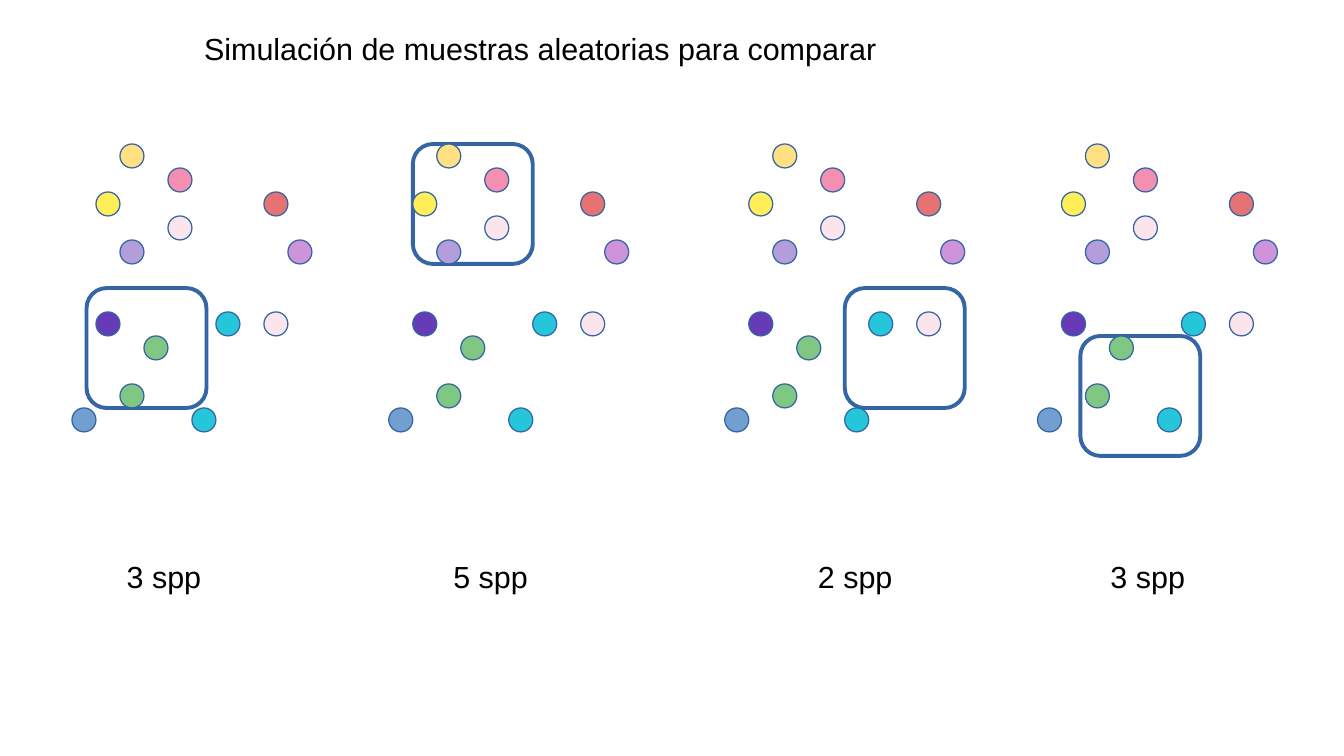
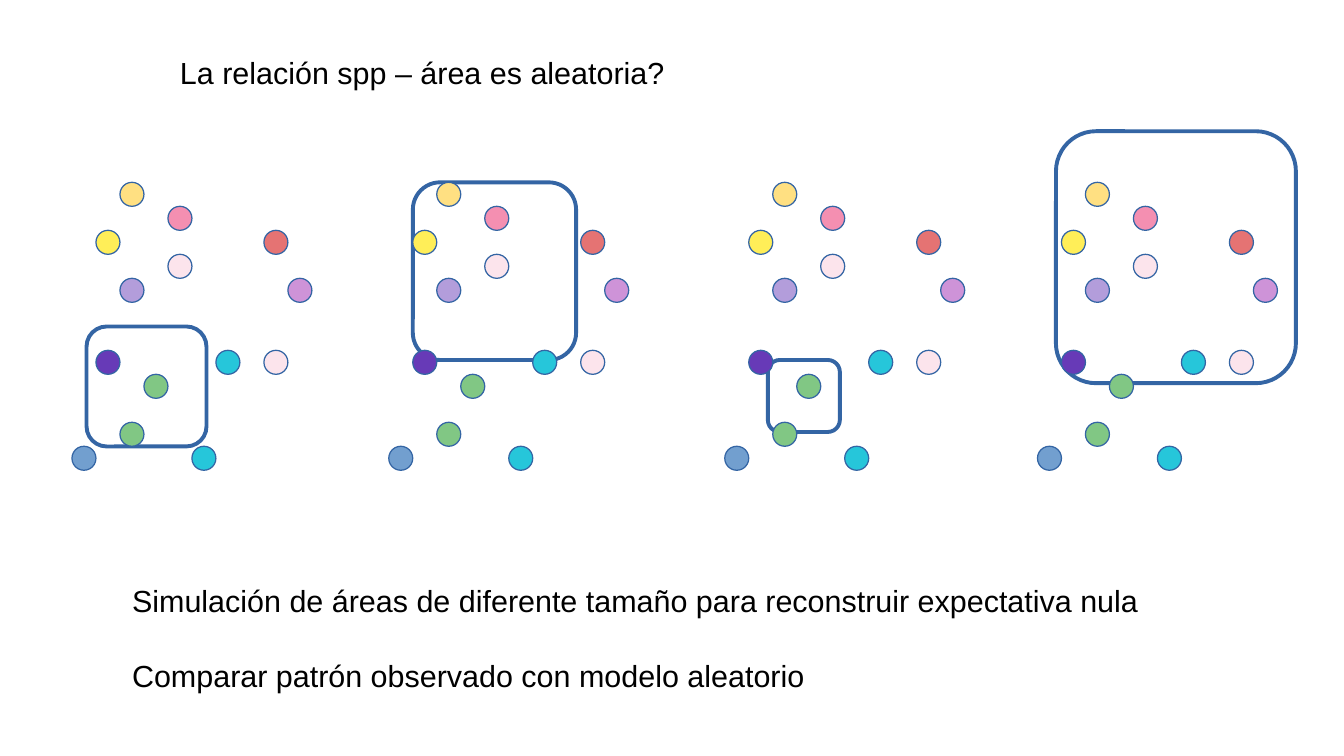
from dataclasses import dataclass

import pptx
import pptx.dml.color
import pptx.enum.shapes
import pptx.enum.text
import pptx.util

Pt = pptx.util.Pt
MSO_SHAPE = pptx.enum.shapes.MSO_SHAPE

FONT = "Arial"
TEXT_SIZE = 18
BLACK = "000000"
OUTLINE = "3465A4"
FRAME_WIDTH = 2.3
FRAME_ROUNDING = 0.167
CELL = 14.17
SAMPLE = 5 * CELL
PANEL_LEFTS = [42.52, 229.61, 428.03, 612.7]
LINE_HEIGHT = 27.4
PARAGRAPH_GAP = 22.4


@dataclass(frozen=True)
class Dot:
    col: int
    row: int
    color: str


@dataclass(frozen=True)
class Frame:
    left: float
    top: float
    width: float = SAMPLE
    height: float = SAMPLE


@dataclass(frozen=True)
class Label:
    left: float
    top: float
    width: float
    lines: tuple[str, ...]
    height: float = LINE_HEIGHT
    wrap: bool = True


@dataclass(frozen=True)
class Page:
    community_top: float
    frames: list[Frame]
    labels: list[Label]


COMMUNITY = [
    Dot(4, 3, "FCE4EC"),
    Dot(2, 0, "FFE082"),
    Dot(9, 4, "CE93D8"),
    Dot(8, 2, "E57373"),
    Dot(2, 10, "81C784"),
    Dot(2, 4, "B39DDB"),
    Dot(1, 2, "FFEE58"),
    Dot(4, 1, "F48FB1"),
    Dot(1, 7, "673AB7"),
    Dot(5, 11, "26C6DA"),
    Dot(0, 11, "729FCF"),
    Dot(6, 7, "26C6DA"),
    Dot(3, 8, "81C784"),
    Dot(8, 7, "FCE4EC"),
]

SPECIES_COUNTS = [(67.7, 3), (260.6, 5), (475.9, 2), (648.7, 3)]

PAGES = [
    Page(
        85.04,
        [
            Frame(51.1, 170.1),
            Frame(243.8, 85.04),
            Frame(498.9, 170.1),
            Frame(638, 198.4),
        ],
        [
            Label(left, 326.2, 58.3, (f"{count} spp",), wrap=False)
            for left, count in SPECIES_COUNTS
        ]
        + [Label(113.4, 14.2, 623.6, ("Simulación de muestras aleatorias para comparar",))],
    ),
    Page(
        107.7,
        [
            Frame(51.1, 192.8),
            Frame(243.8, 107.7, 96.4, 104.9),
            Frame(453.5, 212.6, 3 * CELL, 3 * CELL),
            Frame(623.6, 77.5, 10 * CELL, 148.8),
        ],
        [
            Label(99.2, 28.3, 581, ("La relación spp – área es aleatoria?",)),
            Label(
                70.9,
                340.2,
                623.6,
                (
                    "Simulación de áreas de diferente tamaño para reconstruir expectativa nula",
                    "Comparar patrón observado con modelo aleatorio",
                ),
                height=67.7,
            ),
        ],
    ),
]


def rgb(color: str) -> pptx.dml.color.RGBColor:
    return pptx.dml.color.RGBColor.from_string(color)


def add_outlined(slide, kind, box: Frame, line_width: float):
    sp = slide.shapes.add_shape(
        kind, Pt(box.left), Pt(box.top), Pt(box.width), Pt(box.height)
    )
    sp.shadow.inherit = False
    sp.line.color.rgb = rgb(OUTLINE)
    sp.line.width = Pt(line_width)
    return sp


def add_frame(slide, frame: Frame) -> None:
    sp = add_outlined(slide, MSO_SHAPE.ROUNDED_RECTANGLE, frame, FRAME_WIDTH)
    sp.adjustments[0] = FRAME_ROUNDING
    sp.fill.background()


def add_community(slide, left: float, top: float) -> None:
    for dot in COMMUNITY:
        box = Frame(left + dot.col * CELL, top + dot.row * CELL, CELL, CELL)
        sp = add_outlined(slide, MSO_SHAPE.OVAL, box, 0)
        sp.fill.solid()
        sp.fill.fore_color.rgb = rgb(dot.color)


def add_label(slide, label: Label) -> None:
    sp = slide.shapes.add_textbox(
        Pt(label.left), Pt(label.top), Pt(label.width), Pt(label.height)
    )
    tf = sp.text_frame
    tf.word_wrap = label.wrap
    tf.auto_size = pptx.enum.text.MSO_AUTO_SIZE.SHAPE_TO_FIT_TEXT
    tf.text = "\n".join(label.lines)
    for i, p in enumerate(tf.paragraphs):
        if i:
            p.space_before = Pt(PARAGRAPH_GAP)
        for r in p.runs:
            r.font.name = FONT
            r.font.size = Pt(TEXT_SIZE)
            r.font.color.rgb = rgb(BLACK)


def add_page(prs, page: Page) -> None:
    slide = prs.slides.add_slide(prs.slide_layouts[6])
    for left, frame in zip(PANEL_LEFTS, page.frames):
        add_frame(slide, frame)
        add_community(slide, left, page.community_top)
    for label in page.labels:
        add_label(slide, label)


def main() -> None:
    prs = pptx.Presentation()
    prs.slide_width = Pt(793.7)
    prs.slide_height = Pt(446.46)
    for page in PAGES:
        add_page(prs, page)
    prs.save("out.pptx")


if __name__ == "__main__":
    main()
